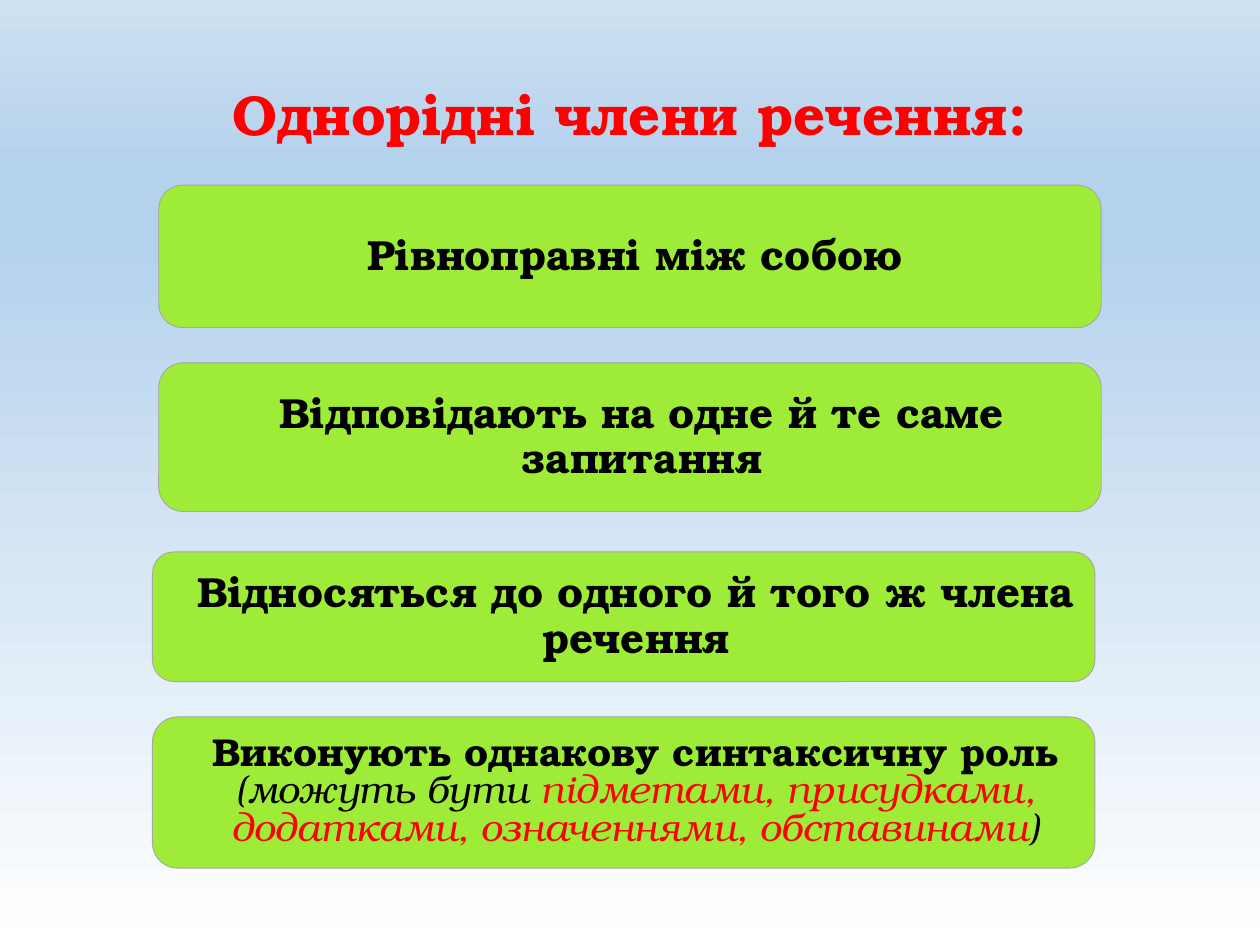
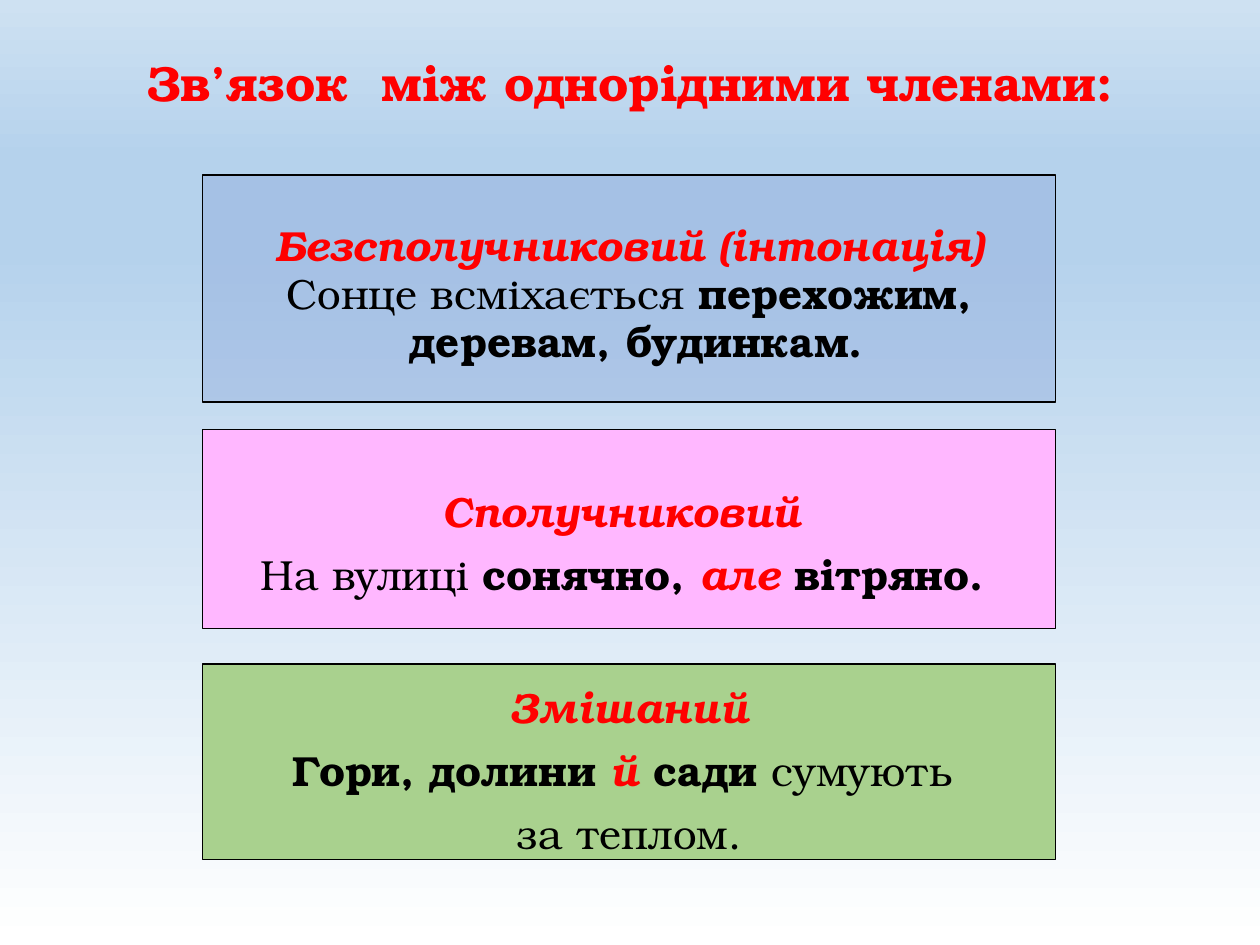
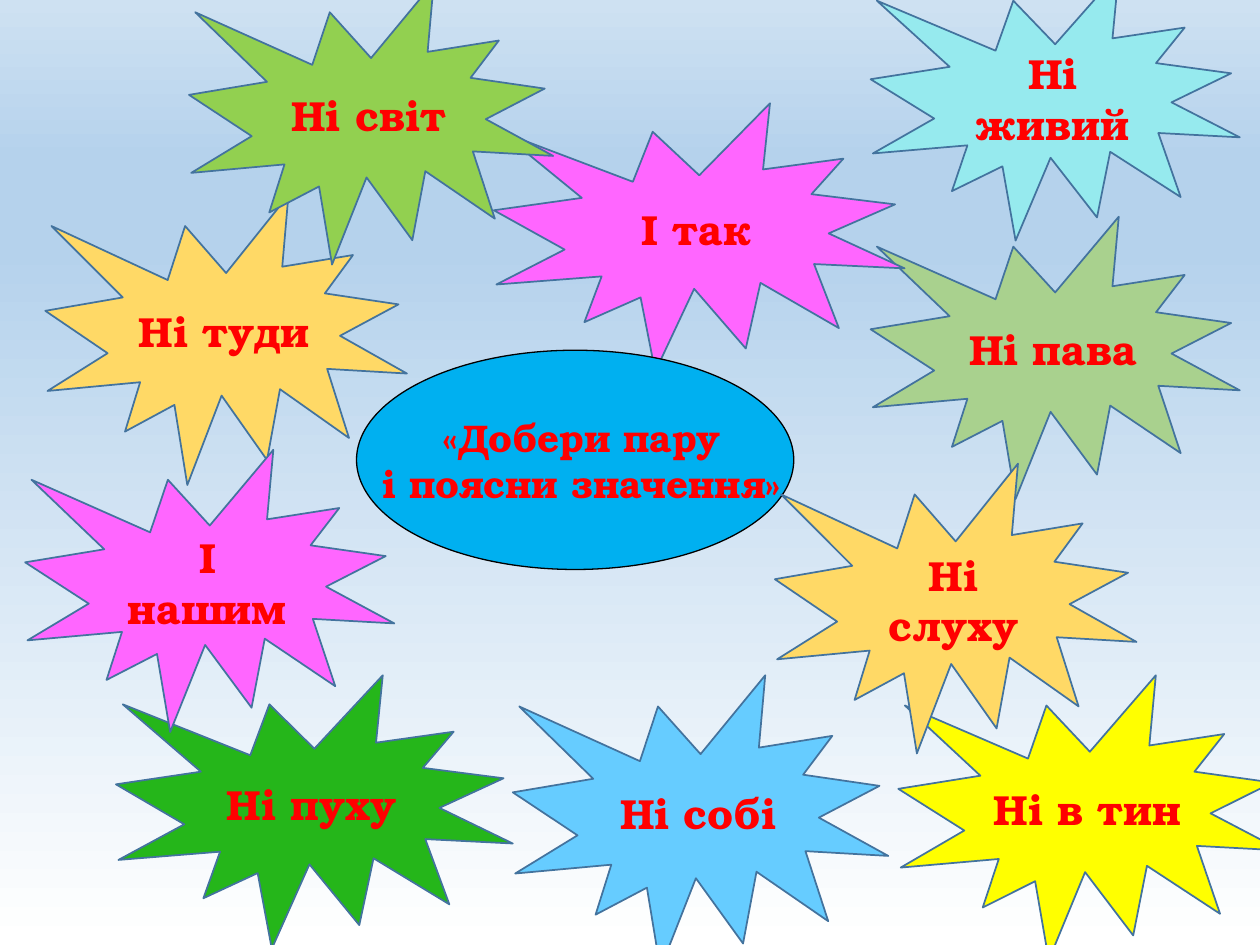
from lxml import etree
from pptx import Presentation
from pptx import util as u
from pptx.dml.color import RGBColor
from pptx.enum import shapes, text
from pptx.oxml import ns

PX = 9144  # 100 px to the inch
FONT = "TeX Gyre Bonum"
COLORS = {
    "red": "FF0000", "black": "000000", "lime": "9FEC38", "gray": "A5A5A5",
    "blue": "8FAADC", "pink": "FFB7FF", "green": "A9D18E", "outline": "43739E",
    "aqua": "96EAEE", "gold": "FFD966", "magenta": "FF66FF", "forest": "25B61A",
    "yellow": "FFFF00", "sky": "66CCFF", "grass": "92D050", "azure": "00B0F0",
}
BACKGROUND_STOPS = [(0, "FFFFFF"), (74, "B5D2EC"), (83, "B5D2EC"), (100, "CEE1F2")]
# Run styles: color, bold, italic
STYLES = {
    "strong": ("black", True, False),
    "plain": ("black", False, False),
    "slanted": ("black", False, True),
    "red slanted": ("red", False, True),
    "heading": ("red", True, False),
    "accent": ("red", True, True),
}


def px(length):
    return u.Emu(length * PX)


def rgb(name):
    return RGBColor.from_string(COLORS[name])


def paint_background(master):
    """Give every slide the same bottom-to-top gradient."""
    fill = master.background.fill
    fill.gradient()
    fill.gradient_angle = 90
    stop_list = fill.gradient_stops[0]._gs.getparent()
    for stop in list(stop_list):
        stop_list.remove(stop)
    for position, color in BACKGROUND_STOPS:
        stop = etree.SubElement(stop_list, ns.qn("a:gs"), pos=str(position * 1000))
        etree.SubElement(stop, ns.qn("a:srgbClr"), val=color)


def write_text(shape, paragraphs, size=24, style="heading", line_spacing=1.0,
               gap=0, wrap=True, left=10, top=5, bottom=5):
    """Write paragraphs, each a string or a list of (text, style) runs."""
    frame = shape.text_frame
    frame.word_wrap = wrap
    frame.vertical_anchor = text.MSO_ANCHOR.MIDDLE
    frame.margin_left, frame.margin_right = px(left), px(10)
    frame.margin_top, frame.margin_bottom = px(top), px(bottom)
    for index, runs in enumerate(paragraphs):
        paragraph = frame.add_paragraph() if index else frame.paragraphs[0]
        paragraph.alignment = text.PP_ALIGN.CENTER
        paragraph.line_spacing = line_spacing
        paragraph.space_before = u.Pt(gap if index else 0)
        if isinstance(runs, str):
            runs = [(runs, style)]
        for words, run_style in runs:
            run = paragraph.add_run()
            run.text = words
            color, bold, italic = STYLES[run_style]
            run.font.name = FONT
            run.font.size = u.Pt(size)
            run.font.bold = bold
            run.font.italic = italic
            run.font.color.rgb = rgb(color)


def add_title(slide, title, top, height, size):
    box = slide.shapes.add_textbox(px(69), px(top), px(862), px(height))
    write_text(box, [title], size=size, line_spacing=0.9)


def add_panel(slide, kind, bounds, fill, line="black", line_width=0.75, alpha=None):
    shape = slide.shapes.add_shape(kind, *map(px, bounds))
    shape.shadow.inherit = False
    shape.fill.solid()
    shape.fill.fore_color.rgb = rgb(fill)
    if alpha:
        color = shape.fill._xPr.find(".//" + ns.qn("a:srgbClr"))
        etree.SubElement(color, ns.qn("a:alpha"), val=str(alpha * 1000))
    shape.line.color.rgb = rgb(line)
    shape.line.width = u.Pt(line_width)
    return shape


def add_feature(slide, left, top, height, runs, **text_format):
    shape = add_panel(slide, shapes.MSO_SHAPE.ROUNDED_RECTANGLE,
                      (left, top, 748, height), "lime", "gray", 0.5)
    options = dict(style="strong", line_spacing=0.9, left=29) | text_format
    write_text(shape, [runs], **options)


def add_link_type(slide, top, height, fill, paragraphs, inset, alpha=None, line_spacing=1.0):
    shape = add_panel(slide, shapes.MSO_SHAPE.RECTANGLE, (161, top, 677, height),
                      fill, alpha=alpha)
    write_text(shape, paragraphs, style="accent", line_spacing=line_spacing,
               gap=7.2, wrap=False, top=inset, bottom=0)


def add_burst(slide, words, fill, *bounds):
    shape = add_panel(slide, shapes.MSO_SHAPE.EXPLOSION1, bounds, fill, "outline", 1)
    write_text(shape, [words])


def build_features(slide):
    add_title(slide, "Однорідні члени речення:", 40, 107, 32)
    add_feature(slide, 126, 147, 113, "Рівноправні між собою ")
    add_feature(slide, 126, 288, 118, "Відповідають на одне й те саме запитання")
    add_feature(slide, 121, 438, 103, "Відносяться до одного й того ж члена речення")
    add_feature(slide, 121, 569, 120, [
        ("Виконують однакову синтаксичну роль ", "strong"),
        ("(можуть бути ", "slanted"),
        ("підметами, присудками, додатками, означеннями, обставинами", "red slanted"),
        (")", "slanted"),
    ], size=22.2, line_spacing=0.8)


def build_links(slide):
    add_title(slide, "Зв’язок  між однорідними членами:", 21, 94, 28)
    add_link_type(slide, 139, 180, "blue", [
        "Безсполучниковий (інтонація)",
        [("Сонце всміхається ", "plain"), ("перехожим,", "strong")],
        [(" деревам, будинкам.", "strong")],
    ], inset=16, alpha=42, line_spacing=0.7)
    add_link_type(slide, 341, 158, "pink", [
        "Сполучниковий ",
        [("На вулиці ", "plain"), ("сонячно, ", "strong"),
         ("але", "accent"), (" вітряно. ", "strong")],
    ], inset=21)
    add_link_type(slide, 527, 155, "green", [
        "Змішаний",
        [("Гори, долини ", "strong"), ("й ", "accent"),
         ("сади ", "strong"), ("сумують ", "plain")],
        [("за теплом.", "plain")],
    ], inset=12)


def build_pairs(slide):
    add_burst(slide, "Ні живий", "aqua", 691, -22, 293, 213)
    add_burst(slide, "Ні туди", "gold", 36, 155, 287, 230)
    add_burst(slide, "Ні пава", "green", 691, 172, 293, 224)
    add_burst(slide, "І так", "magenta", 392, 82, 326, 213)
    add_burst(slide, "Ні пуху", "forest", 92, 536, 315, 217)
    add_burst(slide, "Ні в тин", "yellow", 713, 536, 304, 226)
    add_burst(slide, "Ні собі", "sky", 407, 536, 298, 233)
    add_burst(slide, "Ні світ", "grass", 150, -14, 289, 224)
    task = add_panel(slide, shapes.MSO_SHAPE.OVAL, (283, 278, 347, 174), "azure")
    write_text(task, [" «Добери пару", " і поясни значення»"], size=22, wrap=False)
    add_burst(slide, "І нашим", "magenta", 20, 357, 293, 224)
    add_burst(slide, "Ні слуху", "gold", 615, 368, 287, 230)


def main():
    presentation = Presentation()
    presentation.slide_width, presentation.slide_height = px(1000), px(750)
    paint_background(presentation.slide_master)
    blank = presentation.slide_layouts[6]
    for build in (build_features, build_links, build_pairs):
        build(presentation.slides.add_slide(blank))
    presentation.save("out.pptx")


if __name__ == "__main__":
    main()
